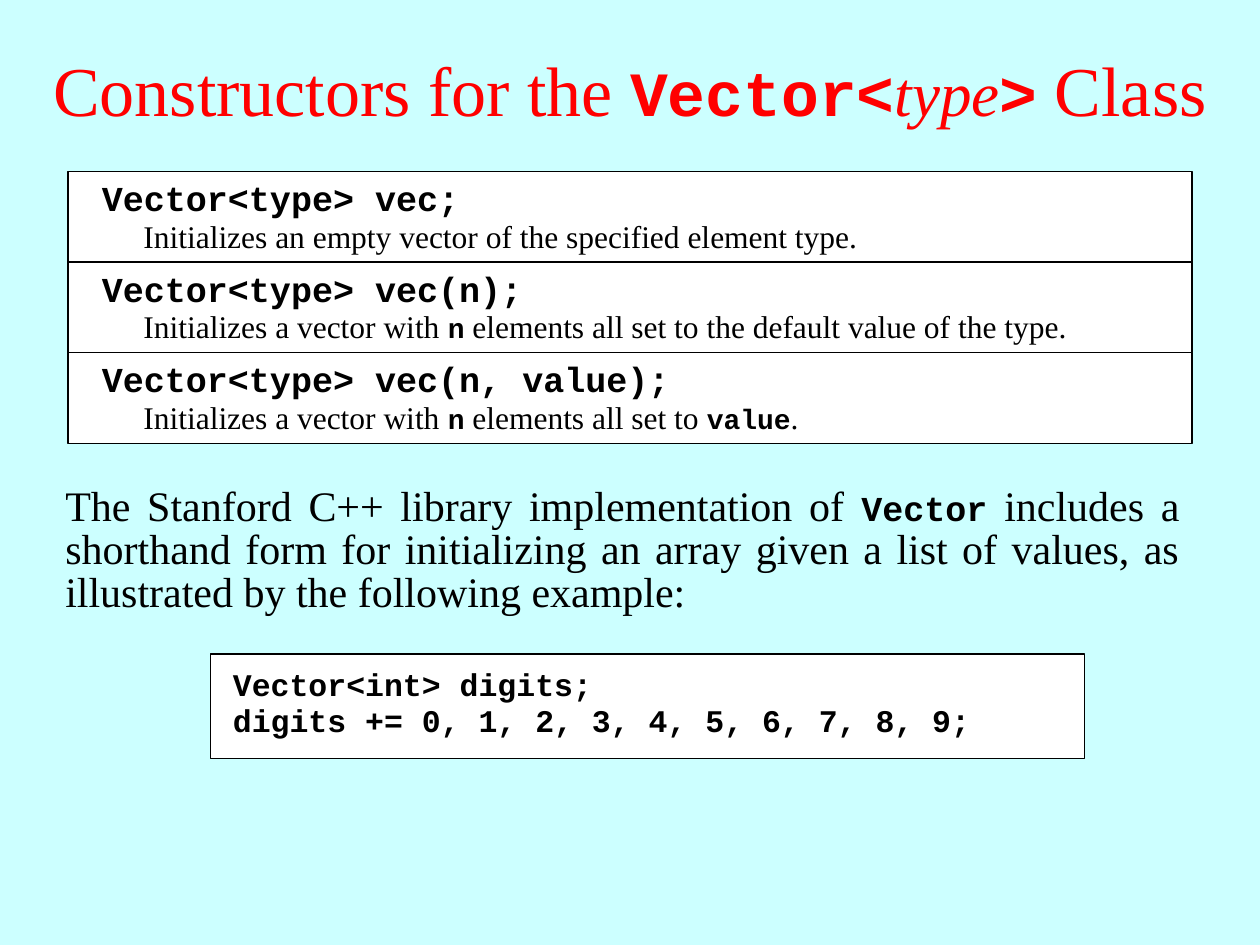
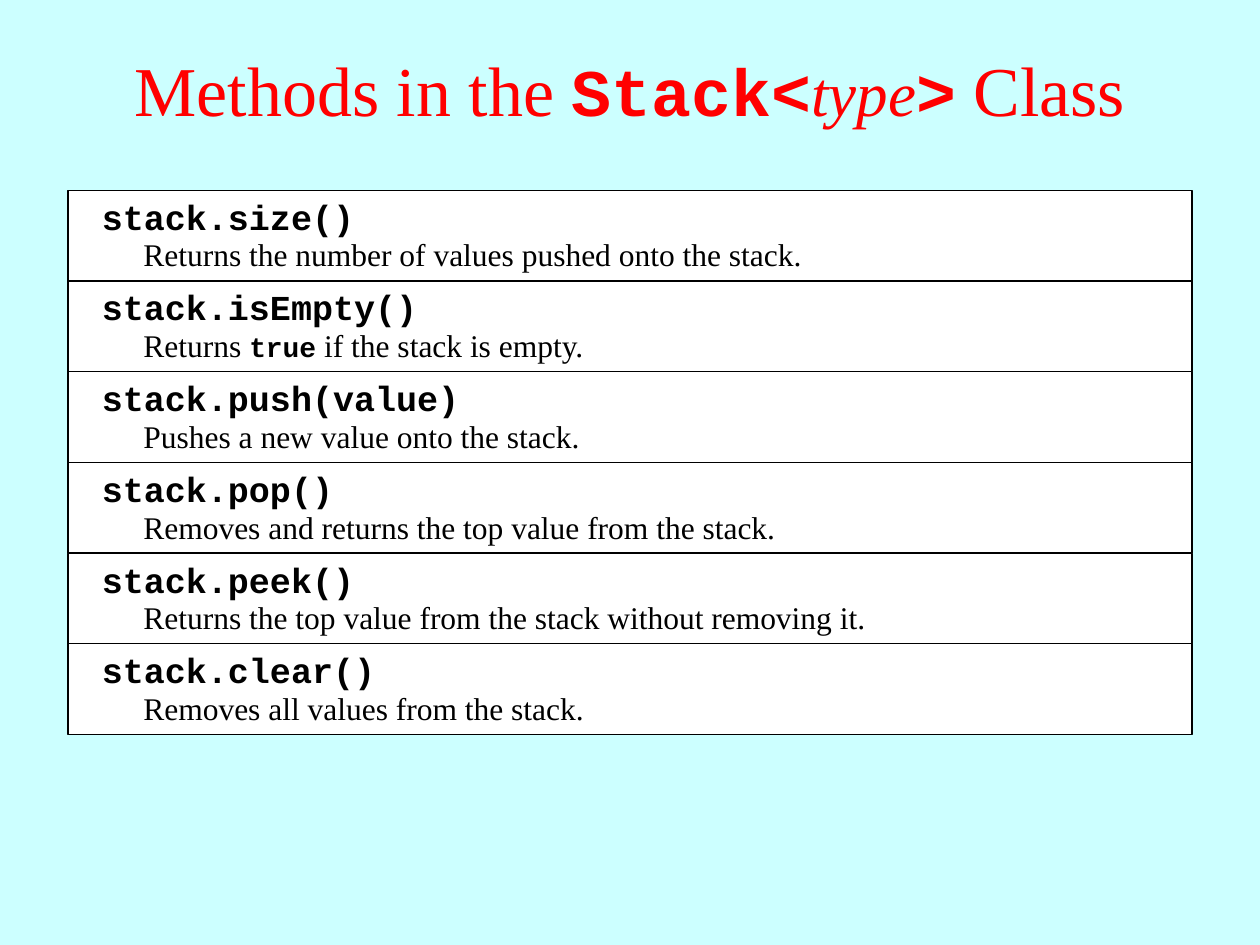
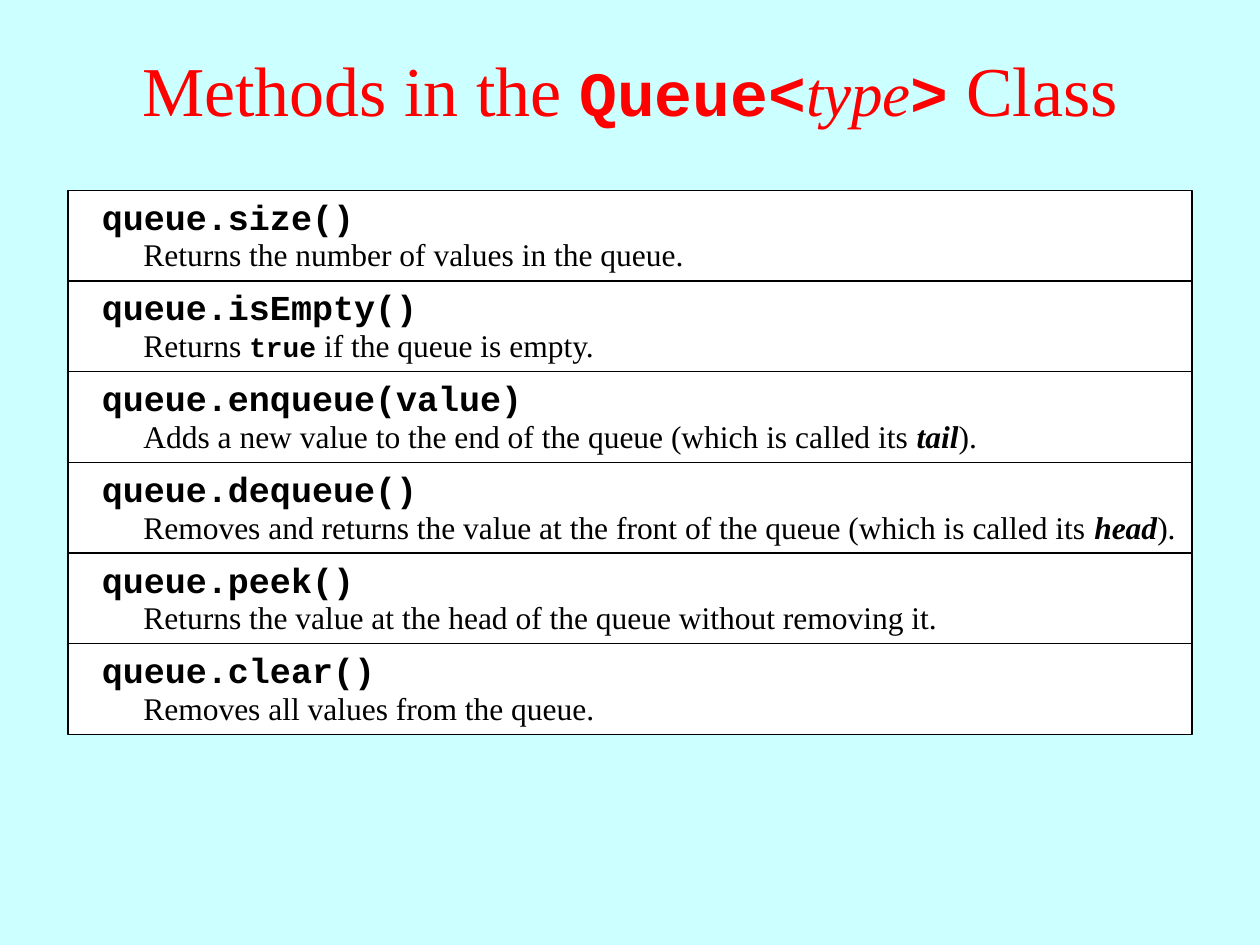
import pptx
import pptx.dml.color
import pptx.enum.shapes
import pptx.enum.text
import pptx.util

SERIF, MONO = "Times New Roman", "Courier New"
RED, BLACK, WHITE, PALE_CYAN = "FF0000", "000000", "FFFFFF", "CCFFFF"

# The slide is a grid of 100 columns by 75 rows.
COLUMNS, ROWS = 100, 75
CELL = pptx.util.Inches(0.1)
ROW_HEIGHT = 7.2
ALIGN = pptx.enum.text.PP_ALIGN


def rgb(color):
    return pptx.dml.color.RGBColor.from_string(color)


def cells(*counts):
    return [round(n * CELL) for n in counts]


def code(text, size=16):
    return text, {"name": MONO, "size": size, "bold": True}


def emphasis(text):
    return text, {"bold": True, "italic": True}


def style_font(font, size=None, name=None, color=None, bold=None, italic=None):
    if size:
        font.size = pptx.util.Pt(size)
    if name:
        font.name = name
    if color:
        font.color.rgb = rgb(color)
    if bold is not None:
        font.bold = bold
    if italic is not None:
        font.italic = italic


def add_text(shapes, at, paragraphs, size, name=SERIF, color=BLACK, bold=False,
             align=ALIGN.LEFT, spacing=1.0, middle=False):
    """Each paragraph is a list of strings and (string, font settings) pairs."""
    tf = shapes.add_textbox(*cells(*at)).text_frame
    tf.word_wrap = True
    if middle:
        tf.vertical_anchor = pptx.enum.text.MSO_ANCHOR.MIDDLE
    else:
        tf.auto_size = pptx.enum.text.MSO_AUTO_SIZE.SHAPE_TO_FIT_TEXT
    for i, pieces in enumerate(paragraphs):
        p = tf.add_paragraph() if i else tf.paragraphs[0]
        p.alignment, p.line_spacing = align, spacing
        base = {"size": size, "name": name, "color": color, "bold": bold}
        for piece in pieces:
            text, changes = (piece, {}) if isinstance(piece, str) else piece
            r = p.add_run()
            r.text = text
            if len(pieces) > 1:
                style_font(r.font, **{**base, **changes})
        if len(pieces) == 1:
            style_font(p.font, **base)


def add_panel(shapes, at):
    sp = shapes.add_shape(pptx.enum.shapes.MSO_SHAPE.RECTANGLE, *cells(*at))
    sp.shadow.inherit = False
    sp.fill.solid()
    sp.fill.fore_color.rgb = rgb(WHITE)
    sp.line.color.rgb = rgb(BLACK)
    sp.line.width = pptx.util.Pt(0.75)


def add_slide(prs, lead, class_name, code_size=36):
    s = prs.slides.add_slide(prs.slide_layouts[6])
    s.background.fill.solid()
    s.background.fill.fore_color.rgb = rgb(PALE_CYAN)
    title = [lead, code(class_name + "<", code_size),
             ("type", {"size": 36, "italic": True}), code(">", code_size), " Class"]
    add_text(s.shapes, (0, 0.8, COLUMNS, 12.5), [title], 40, color=RED,
             align=ALIGN.CENTER, middle=True)
    return s


def add_entries(s, top, entries):
    """Stack one framed row per (signature, description pieces)."""
    for i, (signature, description) in enumerate(entries):
        y = top + i * ROW_HEIGHT
        row = s.shapes.add_group_shape().shapes
        add_panel(row, (5.4, y, 89.2, ROW_HEIGHT))
        add_text(row, (7.1, y - 0.1, 85.8, 4.3), [[signature]], 20, MONO, bold=True)
        add_text(row, (10.4, y + 3.1, 84.6, 4), [description], 18)


def add_shorthand_example(s):
    example = s.shapes.add_group_shape().shapes
    add_text(example, (4.2, 38.2, 90.4, 11.4), [[
        "The Stanford C++ library implementation of ", code("Vector", 20),
        " includes a shorthand form for initializing an array given a list of values, "
        "as illustrated by the following example:"]],
        24, align=ALIGN.JUSTIFY, spacing=0.85)
    add_panel(example, (16.7, 51.9, 69.4, 8.3))
    add_text(example, (17.5, 52.5, 68.3, 6.8),
             [["Vector<int> digits;"], ["digits += 0, 1, 2, 3, 4, 5, 6, 7, 8, 9;"]],
             18, MONO, bold=True, spacing=0.95)


def main():
    prs = pptx.Presentation()
    prs.slide_width, prs.slide_height = cells(COLUMNS, ROWS)

    s = add_slide(prs, "Constructors for the ", "Vector")
    add_entries(s, 13.6, [
        ("Vector<type> vec;",
         ["Initializes an empty vector of the specified element type."]),
        ("Vector<type> vec(n);",
         ["Initializes a vector with ", code("n"),
          " elements all set to the default value of the type."]),
        ("Vector<type> vec(n, value);",
         ["Initializes a vector with ", code("n"), " elements all set to ",
          code("value"), "."]),
    ])
    add_shorthand_example(s)

    s = add_slide(prs, "Methods in the ", "Stack", code_size=38)
    add_entries(s, 15.1, [
        ("stack.size()", ["Returns the number of values pushed onto the stack."]),
        ("stack.isEmpty()", ["Returns ", code("true"), " if the stack is empty."]),
        ("stack.push(value)", ["Pushes a new value onto the stack."]),
        ("stack.pop()", ["Removes and returns the top value from the stack."]),
        ("stack.peek()", ["Returns the top value from the stack without removing it."]),
        ("stack.clear()", ["Removes all values from the stack."]),
    ])

    s = add_slide(prs, "Methods in the ", "Queue")
    add_entries(s, 15.1, [
        ("queue.size()", ["Returns the number of values in the queue."]),
        ("queue.isEmpty()", ["Returns ", code("true"), " if the queue is empty."]),
        ("queue.enqueue(value)",
         ["Adds a new value to the end of the queue (which is called its ",
          emphasis("tail"), ")."]),
        ("queue.dequeue()",
         ["Removes and returns the value at the front of the queue (which is called its ",
          emphasis("head"), ")."]),
        ("queue.peek()",
         ["Returns the value at the head of the queue without removing it."]),
        ("queue.clear()", ["Removes all values from the queue."]),
    ])

    prs.save("out.pptx")


if __name__ == "__main__":
    main()
